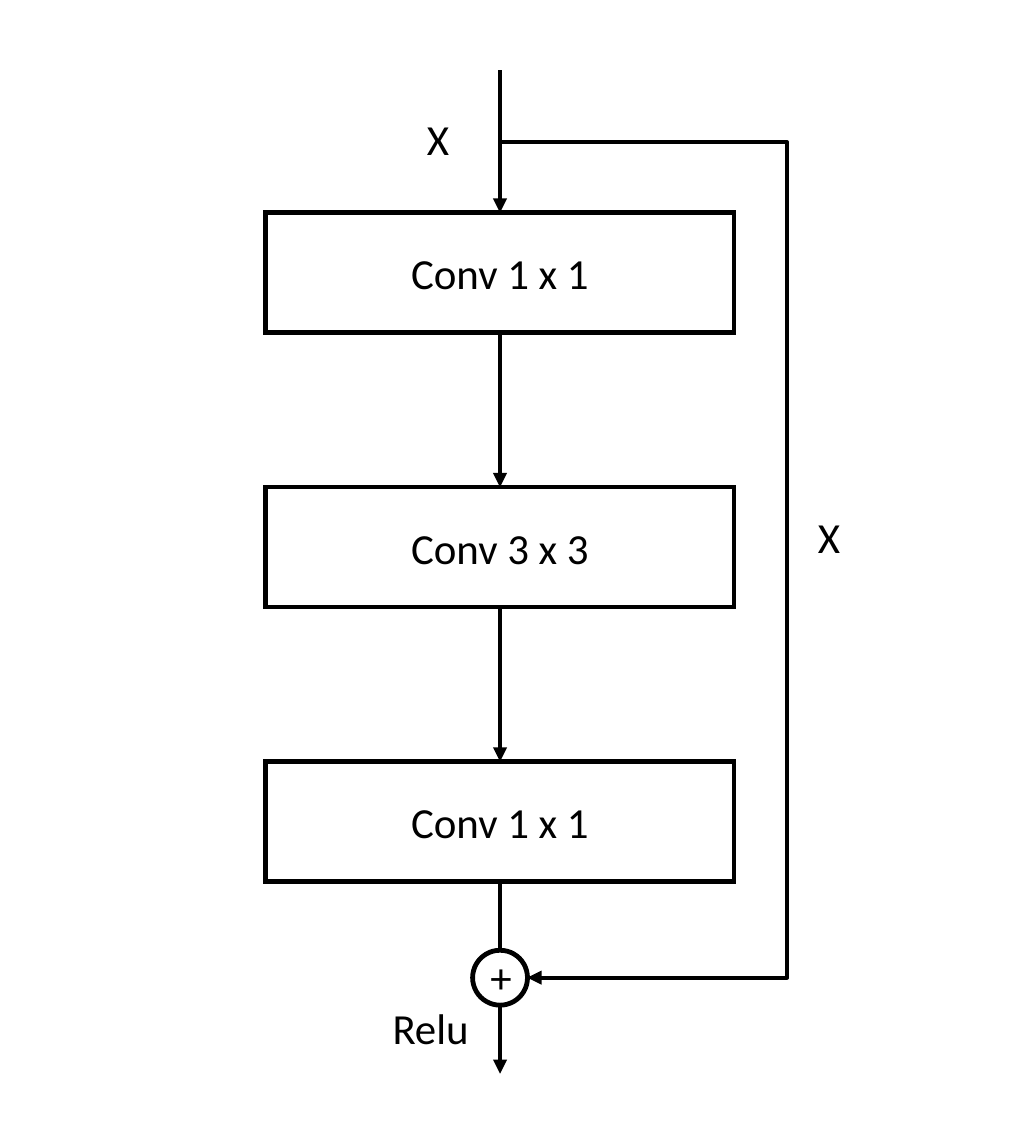
from dataclasses import dataclass
from pptx import Presentation, util as u
from pptx.dml.color import RGBColor
from pptx.enum import shapes, text
from pptx.oxml.ns import qn
from lxml import etree

# Content: layers, then labels as words, left, top, width
LAYERS = ["Conv 1 x 1", "Conv 3 x 3", "Conv 1 x 1"]
LABELS = [
    ("X", 2.39, 0.61, 0.84),
    ("+", 2.76, 5.49, 0.32),
    ("X", 4.67, 2.93, 0.84),
    ("Relu", 2.19, 5.79, 0.84),
]


@dataclass(frozen=True)
class Theme:
    ink: RGBColor = RGBColor(0, 0, 0)
    paper: RGBColor = RGBColor(255, 255, 255)
    font: str = "Calibri"
    size: float = 18
    edge: float = 2
    wire: float = 1.75


THEME = Theme()

# Grid, in inches
LEFT, BOX_W, BOX_H = 1.55, 2.73, 0.7
MID = LEFT + BOX_W / 2
TOP, STEP = 1.24, 1.6
START, END = 0.41, 6.26
FORK_Y, SKIP_X = 0.83, 4.59
SUM_Y, SUM_D = 5.7, 0.32
LABEL_H = 0.32

deck = Presentation()
deck.slide_width, deck.slide_height = u.Cm(15), u.Cm(17)
slide = deck.slides.add_slide(deck.slide_layouts[6])
parts = slide.shapes


def write(frame, words, align):
    para = frame.paragraphs[0]
    para.alignment = align
    run = para.add_run()
    run.text = words
    run.font.name, run.font.size = THEME.font, u.Pt(THEME.size)
    run.font.color.rgb = THEME.ink


def draw_line(item, width, tag, **attrs):
    """Set colour and width, then add one detail to the line."""
    item.line.color.rgb, item.line.width = THEME.ink, u.Pt(width)
    etree.SubElement(item._element.spPr.find(qn("a:ln")), qn(tag), **attrs)


def add_node(kind, y, width, height):
    """Outlined shape centred on the main axis."""
    node = parts.add_shape(kind, u.Inches(MID - width / 2), u.Inches(y),
                           u.Inches(width), u.Inches(height))
    node.fill.solid()
    node.fill.fore_color.rgb = THEME.paper
    draw_line(node, THEME.edge, "a:miter", lim="800000")
    node.shadow.inherit = False
    return node


def add_arrow(kind, x1, y1, x2, y2, above=None, below=None):
    wire = parts.add_connector(kind, u.Inches(x1), u.Inches(y1),
                               u.Inches(x2), u.Inches(y2))
    if above:
        wire.begin_connect(above, 2)
    if below:
        wire.end_connect(below, 0)
    draw_line(wire, THEME.wire, "a:tailEnd", type="triangle")
    etree.SubElement(wire._element.spPr, qn("a:effectLst"))
    return wire


# Layers
tops = [TOP + STEP * i for i in range(len(LAYERS))]
boxes = []
for y, words in zip(tops, LAYERS):
    box = add_node(shapes.MSO_SHAPE.RECTANGLE, y, BOX_W, BOX_H)
    box.text_frame.vertical_anchor = text.MSO_ANCHOR.MIDDLE
    write(box.text_frame, words, text.PP_ALIGN.CENTER)
    boxes.append(box)

# Main flow, running behind the sum node
starts = [START] + [y + BOX_H for y in tops]
for y1, y2, above, below in zip(starts, tops + [END], [None] + boxes, boxes + [None]):
    add_arrow(shapes.MSO_CONNECTOR.STRAIGHT, MID, y1, MID, y2, above, below)

# Sum node
add_node(shapes.MSO_SHAPE.OVAL, SUM_Y - SUM_D / 2, SUM_D, SUM_D)

# Skip path: the bend is set as a share of the elbow's width
skip = add_arrow(shapes.MSO_CONNECTOR.ELBOW, MID, FORK_Y, MID + SUM_D / 2, SUM_Y)
bend = round((SKIP_X - MID) / (SUM_D / 2) * 100000)
shape = skip._element.spPr.find(qn("a:prstGeom"))
guides = shape.find(qn("a:avLst"))
if guides is None:
    guides = etree.SubElement(shape, qn("a:avLst"))
etree.SubElement(guides, qn("a:gd"), name="adj1", fmla=f"val {bend}")

# Labels
for words, x, y, width in LABELS:
    label = parts.add_textbox(u.Inches(x), u.Inches(y),
                              u.Inches(width), u.Inches(LABEL_H))
    label.text_frame.word_wrap = True
    label.text_frame.auto_size = text.MSO_AUTO_SIZE.SHAPE_TO_FIT_TEXT
    write(label.text_frame, words, text.PP_ALIGN.LEFT)

deck.save("out.pptx")
